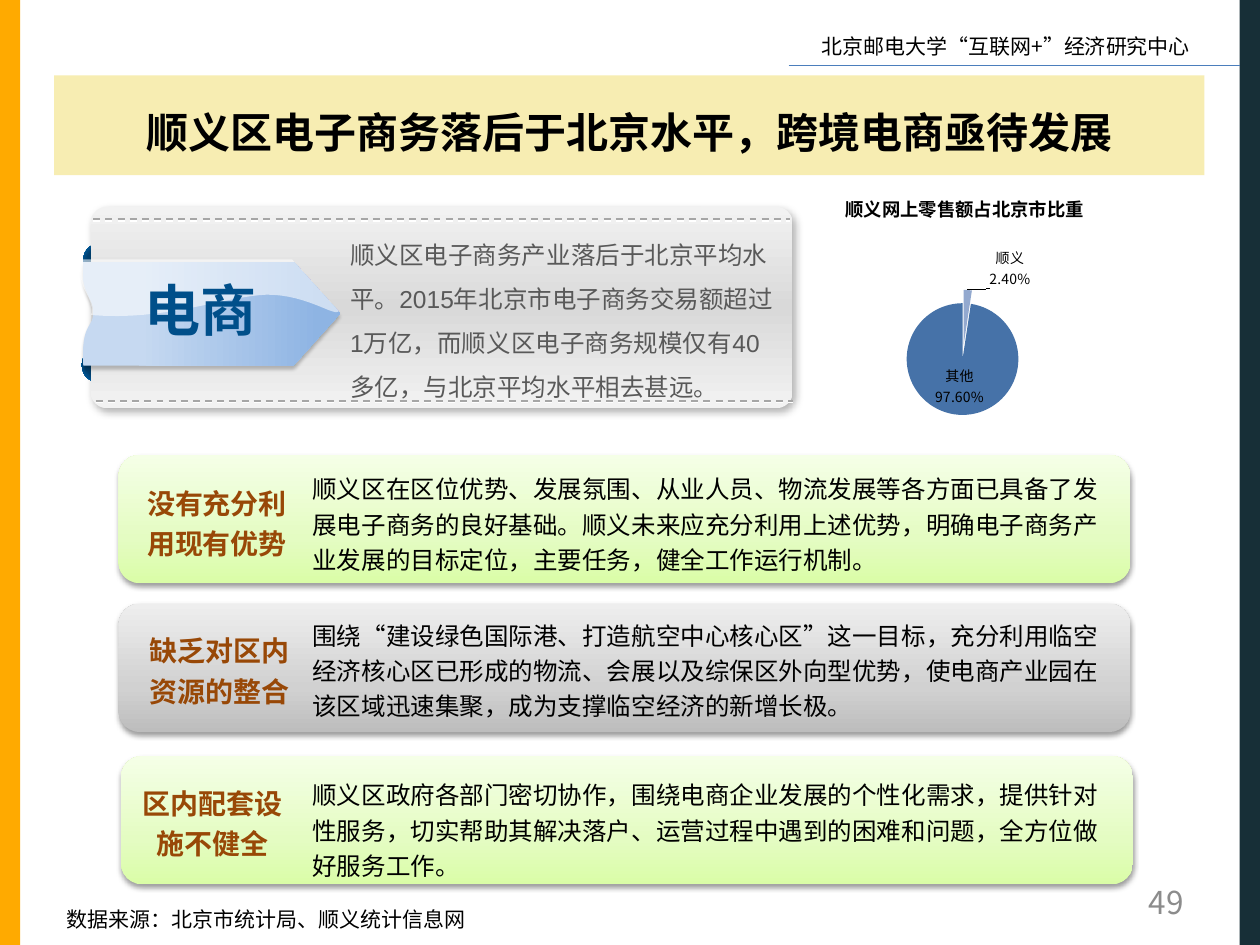
from copy import deepcopy
from typing import NamedTuple, Optional

from pptx import Presentation
from pptx.chart.data import CategoryChartData
from pptx.dml.color import RGBColor
from pptx.enum.chart import XL_CHART_TYPE as ChartType, XL_LABEL_POSITION as LabelPosition
from pptx.enum.dml import MSO_LINE
from pptx.enum.shapes import MSO_CONNECTOR, MSO_SHAPE
from pptx.enum.text import MSO_ANCHOR, MSO_AUTO_SIZE, PP_ALIGN
from pptx.oxml import parse_xml
from pptx.oxml.ns import nsdecls, qn
from pptx.util import Cm, Pt

CJK = "Noto Sans CJK SC"
BLACK = RGBColor(0x00, 0x00, 0x00)
WHITE = RGBColor(0xFF, 0xFF, 0xFF)
ORANGE = RGBColor(0xFF, 0xAA, 0x00)
DARK_TEAL = RGBColor(0x17, 0x2F, 0x37)
RULE_BLUE = RGBColor(0x4B, 0x7E, 0xBC)
PAGE_GRAY = RGBColor(0x8C, 0x8C, 0x8C)
BANNER_YELLOW = RGBColor(0xE9, 0xCD, 0x23)
LABEL_BROWN = RGBColor(0x98, 0x48, 0x07)
RIBBON_BLUE = RGBColor(0x00, 0x4F, 0x8A)
PANEL_TEXT = RGBColor(0x59, 0x59, 0x59)
STITCH_GRAY = RGBColor(0xA6, 0xA6, 0xA6)
SLICE_COLORS = (RGBColor(0x93, 0xA9, 0xCF), RGBColor(0x46, 0x72, 0xA8))


class Box(NamedTuple):
    left: float
    top: float
    width: float
    height: float


class Style(NamedTuple):
    size: float
    color: RGBColor = BLACK
    font: str = CJK
    bold: bool = False
    align: PP_ALIGN = PP_ALIGN.LEFT
    spacing: Optional[float] = None


class Gradient(NamedTuple):
    stops: tuple
    angle: Optional[int] = None


class Shadow(NamedTuple):
    color: RGBColor
    alpha: int
    blur: float
    distance: float
    angle: int


class Card(NamedTuple):
    box: Box
    gradient: Gradient
    label: str
    label_box: Box
    body: str
    body_box: Box


GREEN = Gradient(((0, "DAFDA7"), (35, "E4FCC2"), (100, "F5FFE7")), 270)
GRAY = Gradient(((0, "BDBDBD"), (35, "D1D1D1"), (100, "EEEEEE")), 270)
PANEL = Gradient(((0, "F2F2F2"), (50, "D9D9D9"), (100, "F2F2F2")), 90)
RIBBON = Gradient(((9, "C6D9F1"), (22, "C6D9F1"), (92, "8EB4E3"), (100, "8EB4E3")), 0)
FOLD = Gradient(((44, "004272"), (81, "005EA2"), (100, "0070C0")))
CARD_SHADOW = Shadow(BLACK, 38, 3.1, 1.6, 90)
LABEL = Style(16, LABEL_BROWN, "TeX Gyre Adventor", True, PP_ALIGN.CENTER, 1.2)
BODY = Style(14, spacing=1.2)

CARDS = (
    Card(Box(2.39, 9.17, 20.4, 2.59), GREEN, "没有充分利用现有优势", Box(2.57, 9.55, 3.61, 1.9),
         "顺义区在区位优势、发展氛围、从业人员、物流发展等各方面已具备了发展电子商务的良好基础。顺义未来应充分利用上述优势，明确电子商务产业发展的目标定位，主要任务，健全工作运行机制。",
         Box(6.05, 9.32, 16.56, 2.41)),
    Card(Box(2.39, 12.17, 20.4, 2.59), GRAY, "缺乏对区内资源的整合", Box(2.62, 12.52, 3.61, 1.9),
         "围绕“建设绿色国际港、打造航空中心核心区”这一目标，充分利用临空经济核心区已形成的物流、会展以及综保区外向型优势，使电商产业园在该区域迅速集聚，成为支撑临空经济的新增长极。",
         Box(6.05, 12.27, 16.74, 2.41)),
    Card(Box(2.44, 15.24, 20.4, 2.59), GREEN, "区内配套设施不健全", Box(2.59, 15.6, 3.38, 1.9),
         "顺义区政府各部门密切协作，围绕电商企业发展的个性化需求，提供针对性服务，切实帮助其解决落户、运营过程中遇到的困难和问题，全方位做好服务工作。",
         Box(6.05, 15.49, 16.56, 2.41)),
)
RIBBON_START = ((1.68, 5.28), (5.92, 5.28), (6.86, 6.32), (5.92, 7.37), (1.68, 7.37))
RIBBON_CURVES = (((1.63, 6.5), (1.88, 6.63), (1.88, 6.3)), ((1.88, 5.97), (1.6, 5.89), (1.68, 5.28)))
GLOSS_START = ((1.63, 5.23), (5.89, 5.23), (6.83, 6.27))
GLOSS_CURVES = (((6.76, 6.4), (6.2, 5.94), (5.38, 5.94)), ((4.55, 5.97), (3.33, 6.48), (1.83, 6.35)),
                ((1.85, 6.32), (1.85, 6.3), (1.85, 6.25)), ((1.85, 5.92), (1.55, 5.84), (1.63, 5.23)))


def lengths(values) -> list:
    return [Cm(value) for value in values]


def add_shadow(properties, shadow: Shadow) -> None:
    effects = properties.find(qn("a:effectLst"))
    effects.append(parse_xml(
        f'<a:outerShdw {nsdecls("a")} blurRad="{Pt(shadow.blur)}" dist="{Pt(shadow.distance)}" '
        f'dir="{shadow.angle * 60000}" algn="t" rotWithShape="0"><a:srgbClr val="{shadow.color}">'
        f'<a:alpha val="{shadow.alpha * 1000}"/></a:srgbClr></a:outerShdw>'))


def paint(shape, fill, alpha: int = 100, shadow: Optional[Shadow] = None):
    shape.shadow.inherit = False
    shape.line.fill.background()
    shape.fill.solid()
    properties = shape._element.spPr
    solid = properties.find(qn("a:solidFill"))
    if isinstance(fill, Gradient):
        stops = "".join(f'<a:gs pos="{position * 1000}"><a:srgbClr val="{color}"/></a:gs>'
                        for position, color in fill.stops)
        direction = ('<a:path path="circle"><a:fillToRect l="50000" t="50000" r="50000" b="50000"/></a:path>'
                     if fill.angle is None else f'<a:lin ang="{fill.angle * 60000}" scaled="0"/>')
        properties.replace(solid, parse_xml(
            f'<a:gradFill {nsdecls("a")} rotWithShape="1"><a:gsLst>{stops}</a:gsLst>{direction}</a:gradFill>'))
    else:
        shape.fill.fore_color.rgb = fill
        if alpha < 100:
            solid[0].append(parse_xml(f'<a:alpha {nsdecls("a")} val="{alpha * 1000}"/>'))
    if shadow:
        add_shadow(properties, shadow)
    return shape


def add_block(slide, kind, box: Box, fill, alpha: int = 100, shadow: Optional[Shadow] = None):
    return paint(slide.shapes.add_shape(kind, *lengths(box)), fill, alpha, shadow)


def write(shape, text: str, style: Style, anchor=MSO_ANCHOR.TOP) -> None:
    frame = shape.text_frame
    frame.word_wrap = True
    frame.vertical_anchor = anchor
    frame.text = text
    paragraph = frame.paragraphs[0]
    paragraph.alignment = style.align
    if style.spacing:
        paragraph.line_spacing = style.spacing
    font = paragraph.runs[0].font
    font.size, font.bold = Pt(style.size), style.bold
    font.color.rgb = style.color
    font.name = style.font
    font._element.append(parse_xml(f'<a:ea {nsdecls("a")} typeface="{CJK}"/>'))


def add_text(slide, box: Box, text: str, style: Style) -> None:
    shape = slide.shapes.add_textbox(*lengths(box))
    write(shape, text, style)
    shape.text_frame.auto_size = MSO_AUTO_SIZE.SHAPE_TO_FIT_TEXT


def add_line(slide, left: float, right: float, y: float, color: RGBColor, width: float):
    line = slide.shapes.add_connector(MSO_CONNECTOR.STRAIGHT, *lengths((left, y, right, y)))
    line.line.color.rgb = color
    line.line.width = Pt(width)
    line._element.spPr.append(parse_xml(f'<a:effectLst {nsdecls("a")}/>'))
    return line


def add_outline(slide, start: tuple, curves: tuple):
    points = list(start)
    for first, second, end in curves:
        origin = points[-1]
        for step in range(1, 17):
            t = step / 16
            points.append(tuple((1 - t) ** 3 * a + 3 * (1 - t) ** 2 * t * b + 3 * (1 - t) * t ** 2 * c + t ** 3 * d
                                for a, b, c, d in zip(origin, first, second, end)))
    builder = slide.shapes.build_freeform(*lengths(points[0]), scale=1.0)
    builder.add_line_segments([lengths(point) for point in points[1:]], close=True)
    return builder.convert_to_shape()


def place(parent, index: int, **values) -> None:
    for old in parent.findall(qn("c:layout")):
        parent.remove(old)
    modes = "".join(f'<c:{axis}Mode val="edge"/>' for axis in "xy") if parent.tag != qn("c:dLbl") else ""
    target = '<c:layoutTarget val="inner"/>' if "w" in values else ""
    numbers = "".join(f'<c:{name} val="{value}"/>' for name, value in values.items())
    parent.insert(index, parse_xml(
        f'<c:layout {nsdecls("c")}><c:manualLayout>{target}{modes}{numbers}</c:manualLayout></c:layout>'))


def add_pie(slide, box: Box) -> None:
    data = CategoryChartData(number_format="0.00%")
    data.categories = ["顺义", "其他"]
    data.add_series("Series 1", (0.024, 0.976))
    chart = slide.shapes.add_chart(ChartType.PIE, *lengths(box), data).chart
    chart.has_legend = False
    chart.font.size, chart.font.name = Pt(8), CJK
    chart.font.color.rgb = BLACK
    chart.has_title = True
    write(chart.chart_title, "顺义网上零售额占北京市比重", Style(10.5, bold=True))
    place(chart.chart_title._element, 1, x=0.21, y=0.06)
    place(chart._chartSpace.chart.plotArea, 0, x=0.35, y=0.38, w=0.3, h=0.41)
    chart.plots[0].vary_by_categories = True
    series = chart.plots[0].series[0]
    for index, color in enumerate(SLICE_COLORS):
        fill = series.points[index].format.fill
        fill.solid()
        fill.fore_color.rgb = color
    series._element.find(qn("c:dPt")).addprevious(parse_xml(f'<c:explosion {nsdecls("c")} val="12"/>'))
    labels = series.data_labels
    labels.show_value = labels.show_category_name = True
    labels.number_format, labels.number_format_is_linked = "0.00%", False
    labels.position = LabelPosition.BEST_FIT
    labels.font.size, labels.font.name = Pt(8), CJK
    labels.font.color.rgb = BLACK
    element = labels._element
    element.find(qn("c:showBubbleSize")).addnext(
        parse_xml(f'<c:separator {nsdecls("c")}>\n</c:separator>'))
    callout = parse_xml(f'<c:dLbl {nsdecls("c")}><c:idx val="0"/></c:dLbl>')
    callout.extend(deepcopy(child) for child in element if child.tag != qn("c:showLeaderLines"))
    place(callout, 1, x=0.1, y=0.02)
    element.insert(0, callout)


def main() -> None:
    presentation = Presentation()
    presentation.slide_width, presentation.slide_height = Cm(25.4), Cm(19.05)
    slide = presentation.slides.add_slide(presentation.slide_layouts[6])
    for left, color in ((0, ORANGE), (24.99, DARK_TEAL)):
        add_block(slide, MSO_SHAPE.RECTANGLE, Box(left, 0, 0.41, 19.05), color)
    add_text(slide, Box(16.31, 0.56, 8.3, 0.76), "北京邮电大学“互联网+”经济研究中心", Style(12))
    add_line(slide, 15.9, 24.99, 1.32, RULE_BLUE, 0.75)
    page_number = slide.shapes.add_textbox(*lengths(Box(18.19, 17.68, 5.92, 1.02)))
    write(page_number, "49", Style(18, PAGE_GRAY, align=PP_ALIGN.RIGHT), MSO_ANCHOR.MIDDLE)
    banner = add_block(slide, MSO_SHAPE.RECTANGLE, Box(1.09, 1.52, 23.19, 2.01), BANNER_YELLOW, 35)
    write(banner, "顺义区电子商务落后于北京水平，跨境电商亟待发展",
          Style(24, bold=True, align=PP_ALIGN.CENTER, spacing=1.25), MSO_ANCHOR.MIDDLE)
    for card in CARDS:
        add_block(slide, MSO_SHAPE.ROUNDED_RECTANGLE, card.box, card.gradient, shadow=CARD_SHADOW)
        add_text(slide, card.body_box, card.body, BODY)
        add_text(slide, card.label_box, card.label, LABEL)
    add_pie(slide, Box(15.21, 3.45, 8.41, 6.25))
    add_text(slide, Box(1.09, 18.16, 9.4, 0.76), "数据来源：北京市统计局、顺义统计信息网", Style(12))

    for left, top in ((1.65, 7.04), (1.68, 4.93)):
        add_block(slide, MSO_SHAPE.OVAL, Box(left, top, 0.51, 0.64), FOLD)
    panel = add_block(slide, MSO_SHAPE.ROUNDED_RECTANGLE, Box(1.83, 4.17, 14.15, 4.06), PANEL,
                      shadow=Shadow(BLACK, 30, 4.5, 2.6, 53))
    panel.adjustments[0] = 0.08
    paint(add_outline(slide, RIBBON_START, RIBBON_CURVES), RIBBON, shadow=Shadow(BLACK, 23, 2, 2, 90))
    paint(add_outline(slide, GLOSS_START, GLOSS_CURVES), WHITE, 57)
    add_text(slide, Box(1.96, 5.69, 4.17, 1.07), "电商",
             Style(32, RIBBON_BLUE, "Arial Narrow", True, PP_ALIGN.CENTER, 0.8))
    for left, y in ((1.88, 4.42), (1.93, 8.08)):
        stitch = add_line(slide, left, left + 14.05, y, STITCH_GRAY, 1)
        stitch.line.dash_style = MSO_LINE.DASH
        add_shadow(stitch._element.spPr, Shadow(WHITE, 100, 0, 1, 90))
    add_text(slide, Box(6.81, 4.42, 9.12, 2.34),
             "顺义区电子商务产业落后于北京平均水平。2015年北京市电子商务交易额超过1万亿，而顺义区电子商务规模仅有40多亿，与北京平均水平相去甚远。",
             Style(14, PANEL_TEXT, "Arial", spacing=1.5))
    presentation.save("out.pptx")


if __name__ == "__main__":
    main()
